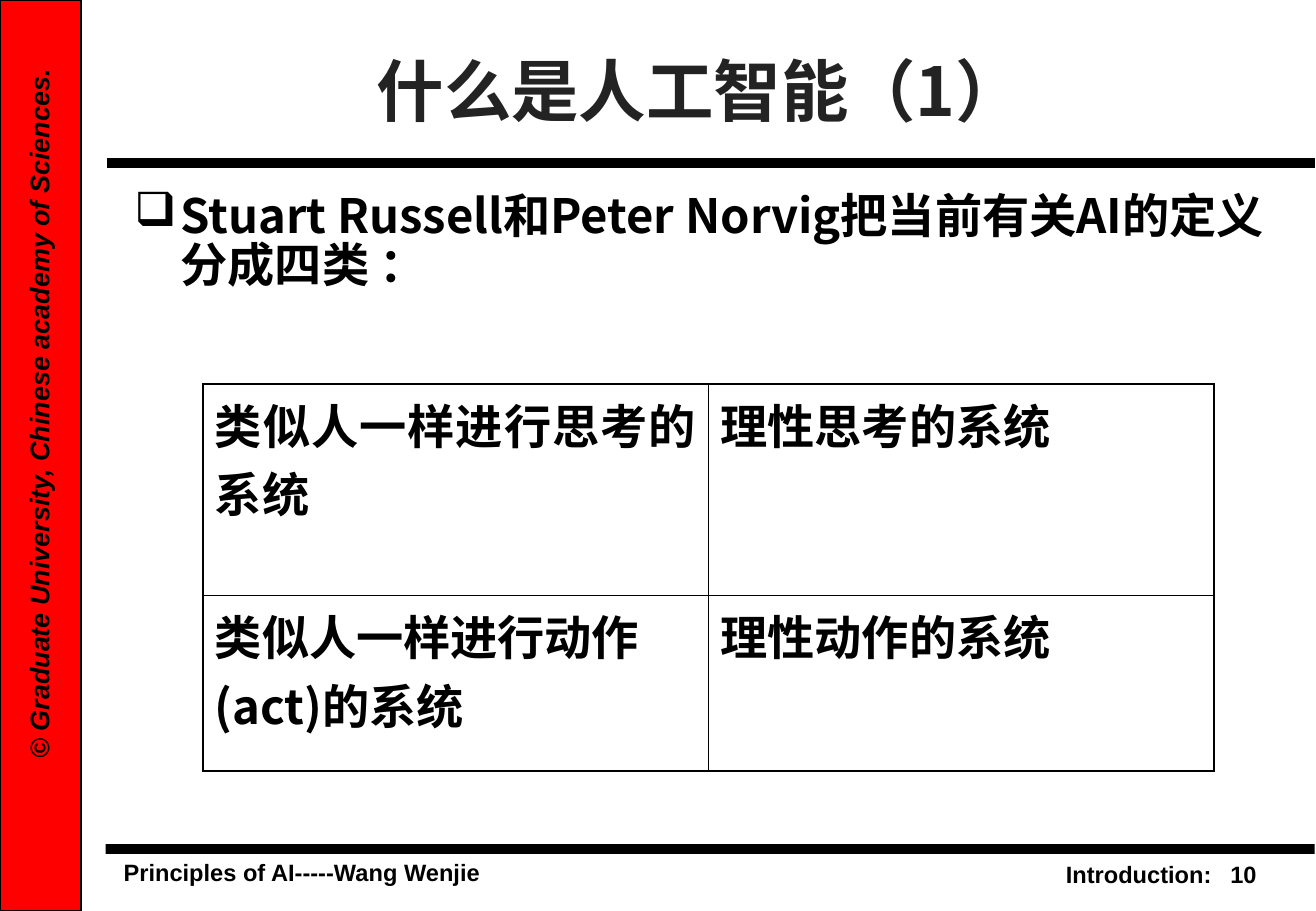
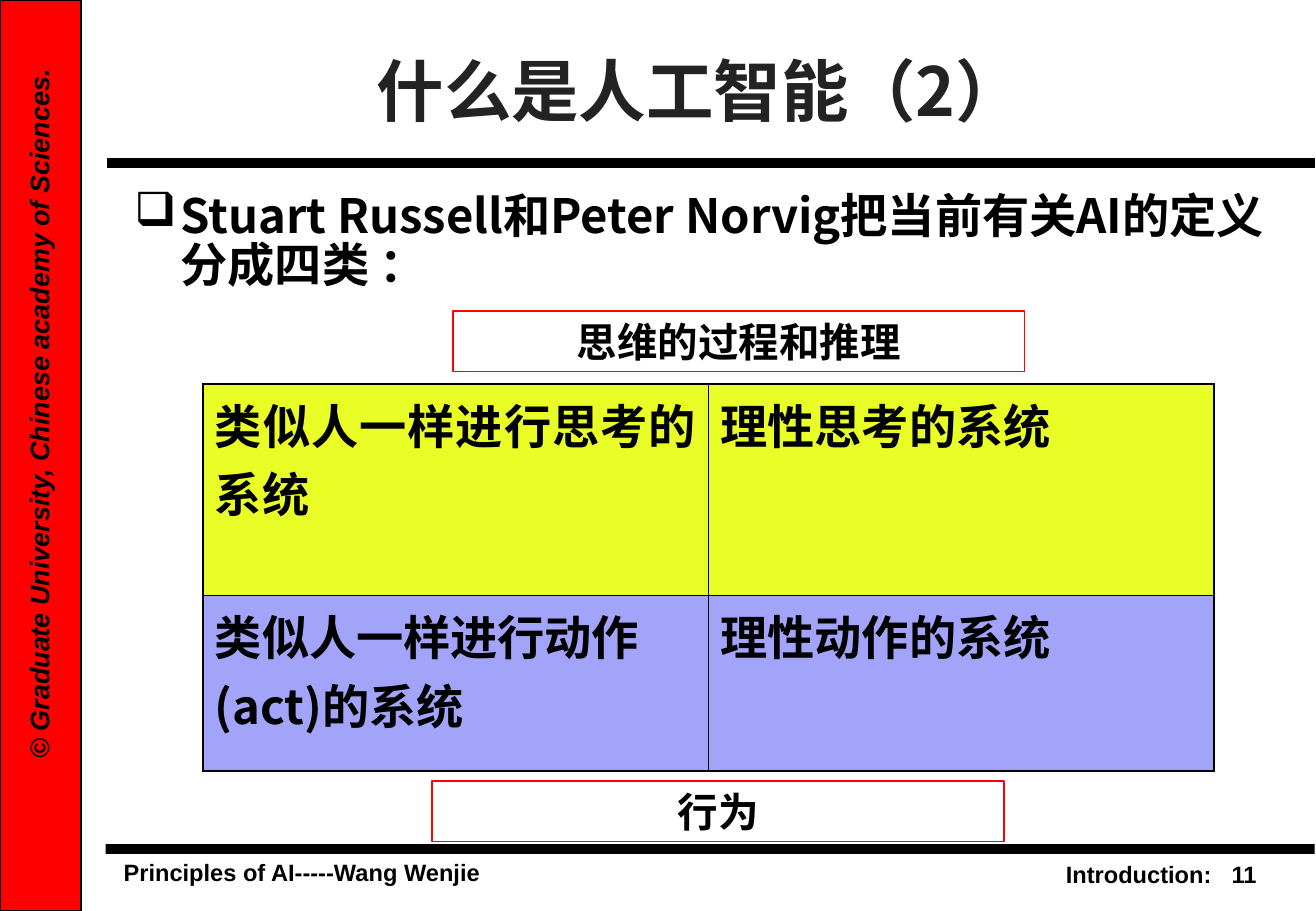
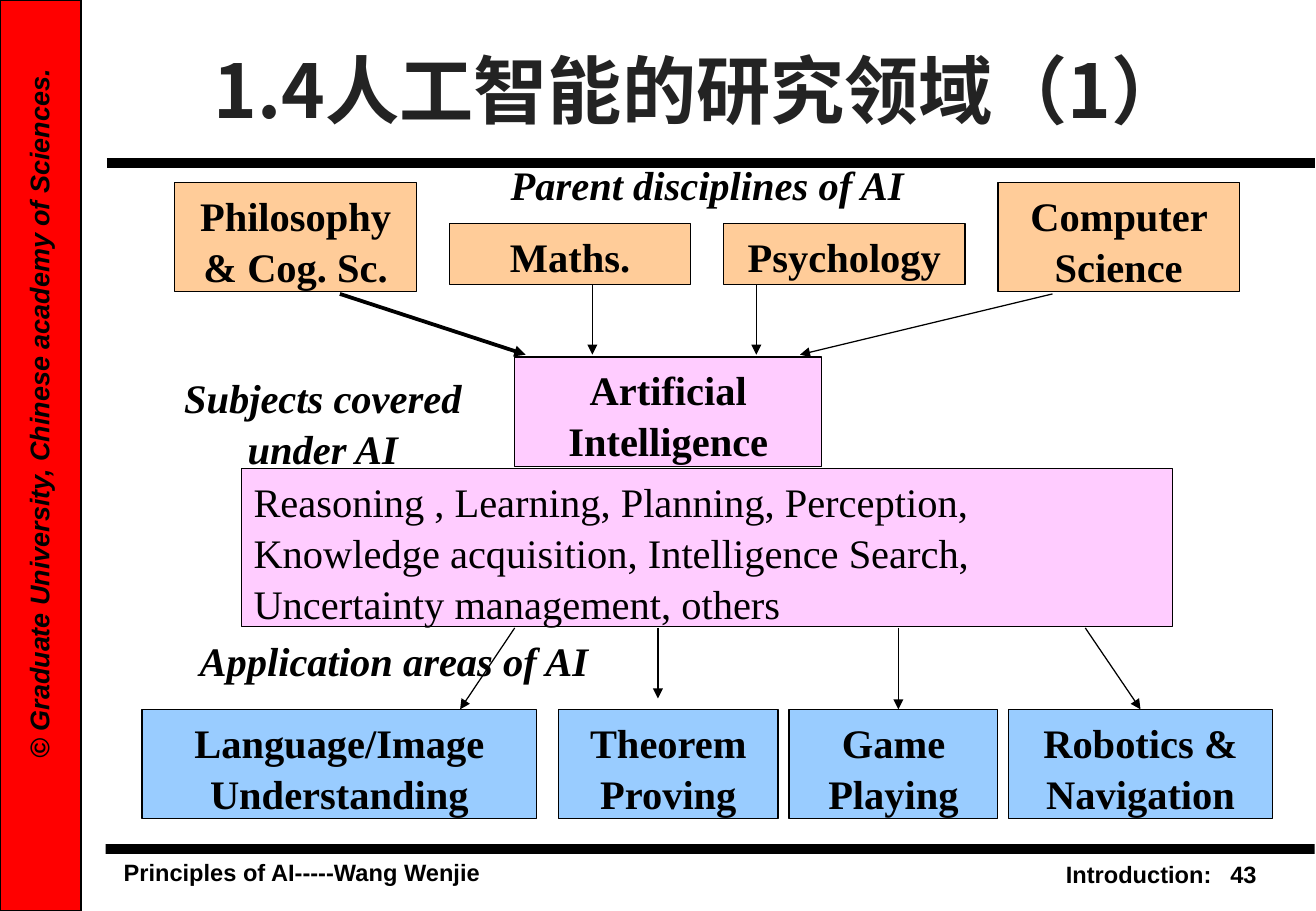
from dataclasses import dataclass, replace
from typing import Optional

from lxml import etree
from pptx import Presentation
from pptx.dml.color import RGBColor
from pptx.enum.shapes import MSO_CONNECTOR as Connector, MSO_SHAPE as Preset
from pptx.enum.text import MSO_ANCHOR as Anchor, PP_ALIGN as Align
from pptx.oxml.ns import qn
from pptx.util import Inches, Pt

BLACK, RED, TITLE_GREY = "000000", "FF0000", "232323"
YELLOW, VIOLET = "E9FD27", "A2A4FA"
ORANGE, PINK, BLUE = "FFCC99", "FFCCFF", "99CCFF"
CJK, SANS, SERIF = "Noto Sans CJK SC", "Arial", "Times New Roman"


@dataclass(frozen=True)
class Style:
    size: float
    font: str
    color: str = BLACK
    bold: bool = True
    italic: bool = False
    align: Align = Align.CENTER
    anchor: Anchor = Anchor.TOP
    spacing: Optional[float] = None


@dataclass(frozen=True)
class Area:
    left: float
    top: float
    width: float
    height: float

    def lengths(self) -> list:
        return [Inches(n) for n in (self.left, self.top, self.width, self.height)]


@dataclass(frozen=True)
class Node:
    text: str
    area: Area
    fill: str


@dataclass(frozen=True)
class Arrow:
    start: tuple
    end: tuple
    weight: float = 0.75
    target: Optional[str] = None


TITLE = Style(40, CJK, TITLE_GREY, anchor=Anchor.MIDDLE)
BODY = Style(28, CJK, align=Align.LEFT, spacing=0.85)
CELL = Style(28, CJK, align=Align.LEFT)
LABEL = Style(24, SANS, anchor=Anchor.MIDDLE)
FOOTER = Style(14, SANS, align=Align.LEFT)
FOOTER_RIGHT = replace(FOOTER, align=Align.RIGHT)
SIDE = Style(16, SANS, italic=True, align=Align.LEFT)
NODE = Style(24, SERIF, spacing=1.05)
CAPTION = replace(NODE, italic=True)
LISTING = replace(NODE, bold=False, align=Align.LEFT)

DEFINITIONS = (
    ("类似人一样进行思考的系统", "理性思考的系统"),
    ("类似人一样进行动作(act)的系统", "理性动作的系统"),
)
LISTING_NODE = Node(
    "Reasoning , Learning, Planning, Perception, Knowledge acquisition, "
    "Intelligence Search, Uncertainty management, others",
    Area(1.99, 3.86, 7.67, 1.3), PINK)
NODES = (
    Node("Philosophy & Cog. Sc.", Area(1.44, 1.5, 1.99, 0.9), ORANGE),
    Node("Maths.", Area(3.7, 1.84, 1.99, 0.5), ORANGE),
    Node("Psychology", Area(5.96, 1.84, 1.99, 0.5), ORANGE),
    Node("Computer Science", Area(8.22, 1.5, 1.99, 0.9), ORANGE),
    Node("Artificial Intelligence", Area(4.24, 2.94, 2.53, 0.9), PINK),
    Node("Language/Image Understanding", Area(1.17, 5.84, 3.25, 0.9), BLUE),
    Node("Theorem Proving", Area(4.6, 5.84, 1.81, 0.9), BLUE),
    Node("Game Playing", Area(6.5, 5.84, 1.72, 0.9), BLUE),
    Node("Robotics & Navigation", Area(8.31, 5.84, 2.17, 0.9), BLUE),
)
ARROWS = (
    Arrow((2.8, 2.42), (4.33, 2.92), 2.25),
    Arrow((4.88, 2.34), (4.88, 2.92)),
    Arrow((6.23, 2.34), (6.23, 2.92)),
    Arrow((8.67, 2.42), (6.59, 2.92)),
    Arrow((4.24, 5.17), (3.79, 5.84)),
    Arrow((5.42, 5.17), (5.42, 5.75)),
    Arrow((7.4, 5.17), (7.4, 5.84)),
    Arrow((8.94, 5.17), (9.39, 5.84), target="Robotics & Navigation"),
)
CAPTIONS = (
    ("Parent disciplines of AI", Area(2.8, 1.25, 6.05, 0.5)),
    ("Subjects covered under AI", Area(1.26, 3, 2.8, 0.9)),
    ("Application areas of AI", Area(1.17, 5.17, 4.15, 0.5)),
)


def rgb(value: str) -> RGBColor:
    return RGBColor.from_string(value)


def write(frame, text: str, style: Style):
    frame.word_wrap = True
    frame.vertical_anchor = style.anchor
    para = frame.paragraphs[0]
    para.alignment = style.align
    para.space_before = Pt(0)
    if style.spacing:
        para.line_spacing = style.spacing
    span = para.add_run()
    span.text = text
    font = span.font
    font.size, font.name = Pt(style.size), style.font
    font.bold, font.italic = style.bold, style.italic
    font.color.rgb = rgb(style.color)
    east_asian = etree.SubElement(font._element, qn("a:ea"))
    east_asian.set("typeface", CJK)
    return para


def add_text(page, text: str, area: Area, style: Style):
    box = page.shapes.add_textbox(*area.lengths())
    write(box.text_frame, text, style)
    return box


def add_box(page, area: Area, fill: Optional[str], line: Optional[str] = None,
            weight: float = 0.75):
    box = page.shapes.add_shape(Preset.RECTANGLE, *area.lengths())
    box.shadow.inherit = False
    if fill:
        box.fill.solid()
        box.fill.fore_color.rgb = rgb(fill)
    else:
        box.fill.background()
    if line:
        box.line.color.rgb = rgb(line)
        box.line.width = Pt(weight)
    else:
        box.line.fill.background()
    return box


def add_line(page, start: tuple, end: tuple, weight: float, arrow: bool = False):
    line = page.shapes.add_connector(
        Connector.STRAIGHT, *[Inches(n) for n in (*start, *end)])
    line.line.color.rgb = rgb(BLACK)
    line.line.width = Pt(weight)
    if arrow:
        etree.SubElement(line.line._get_or_add_ln(), qn("a:tailEnd")).set("type", "triangle")
    etree.SubElement(line._element.spPr, qn("a:effectLst"))
    return line


def add_page(deck, title: str, number: int, title_size: float = 40):
    page = deck.slides.add_slide(deck.slide_layouts[6])
    footer = add_text(page, "Principles of AI-----Wang Wenjie",
                      Area(0.92, 7.01, 3.16, 0.33), FOOTER)
    footer.text_frame.word_wrap = False
    add_text(page, "Introduction:", Area(7.23, 7.03, 2.85, 0.33), FOOTER_RIGHT)
    add_text(page, str(number), Area(9.85, 7.03, 0.6, 0.33), FOOTER_RIGHT)
    add_box(page, Area(0.87, 6.95, 9.96, 0.08), BLACK)
    add_box(page, Area(0, 0, 0.67, 7.5), RED, BLACK, 1)
    add_line(page, (0.88, 1.34), (10.83, 1.34), 6)
    side = add_text(page, "© Graduate University, Chinese academy of Sciences.",
                    Area(-3.27, 3.56, 7.18, 0.37), SIDE)
    side.text_frame.margin_left = Inches(1.09)
    side.rotation = 270
    add_text(page, title, Area(1.17, 0.22, 9.19, 1.03), replace(TITLE, size=title_size))
    return page


def add_bullet(page, text: str, area: Area) -> None:
    box = page.shapes.add_textbox(*area.lengths())
    para = write(box.text_frame, text, BODY)
    properties = para._p.get_or_add_pPr()
    properties.set("marL", str(Inches(0.38)))
    properties.set("indent", str(-Inches(0.38)))
    color = etree.SubElement(properties, qn("a:buClr"))
    etree.SubElement(color, qn("a:srgbClr")).set("val", BLACK)
    etree.SubElement(properties, qn("a:buChar")).set("char", "❑")


def set_borders(cell, weights: dict) -> None:
    properties = cell._tc.get_or_add_tcPr()
    for place, (side, weight) in enumerate(weights.items()):
        border = etree.Element(qn(f"a:ln{side}"), w=str(Pt(weight)))
        fill = etree.SubElement(border, qn("a:solidFill"))
        etree.SubElement(fill, qn("a:srgbClr")).set("val", BLACK)
        properties.insert(place, border)


def add_definitions(page, fills: tuple) -> None:
    add_bullet(page, "Stuart Russell和Peter Norvig把当前有关AI的定义分成四类 ：",
               Area(1.01, 1.56, 9.57, 5.16))
    table = page.shapes.add_table(2, 2, *Area(1.67, 3.16, 8.33, 3.19).lengths()).table
    table.first_row = table.horz_banding = False
    for row, height in zip(table.rows, (1.74, 1.45)):
        row.height = Inches(height)
    outer, inner = 1.08, 0.45
    for r, texts in enumerate(DEFINITIONS):
        for c, text in enumerate(texts):
            cell = table.cell(r, c)
            align = Align.JUSTIFY if r == c == 0 else Align.LEFT
            write(cell.text_frame, text, replace(CELL, align=align))
            if fills[r]:
                cell.fill.solid()
                cell.fill.fore_color.rgb = rgb(fills[r])
            else:
                cell.fill.background()
            set_borders(cell, {
                "L": inner if c else outer, "R": outer if c else inner,
                "T": inner if r else outer, "B": outer if r else inner})


def add_node(page, node: Node, style: Style):
    box = add_box(page, node.area, node.fill, BLACK)
    write(box.text_frame, node.text, style)
    return box


def add_fields(page) -> None:
    boxes = {node.text: add_node(page, node, NODE) for node in NODES}
    listing = add_node(page, LISTING_NODE, LISTING)
    listing.text_frame.margin_right = Inches(0.3)
    for arrow in ARROWS:
        line = add_line(page, arrow.start, arrow.end, arrow.weight, arrow=True)
        if arrow.target:
            line.end_connect(boxes[arrow.target], 0)
    for text, area in CAPTIONS:
        add_text(page, text, area, CAPTION)


def main() -> None:
    """Build the three slides and save the deck."""
    deck = Presentation()
    deck.slide_width, deck.slide_height = Inches(10.84), Inches(7.5)

    add_definitions(add_page(deck, "什么是人工智能（1）", 10), (None, None))

    page = add_page(deck, "什么是人工智能（2）", 11)
    add_definitions(page, (YELLOW, VIOLET))
    for text, left, top in (("思维的过程和推理", 3.73, 2.56), ("行为", 3.56, 6.43)):
        box = add_box(page, Area(left, top, 4.71, 0.5), None, RED, 1)
        write(box.text_frame, text, LABEL)

    add_fields(add_page(deck, "1.4人工智能的研究领域（1）", 43, title_size=44))
    deck.save("out.pptx")


if __name__ == "__main__":
    main()
